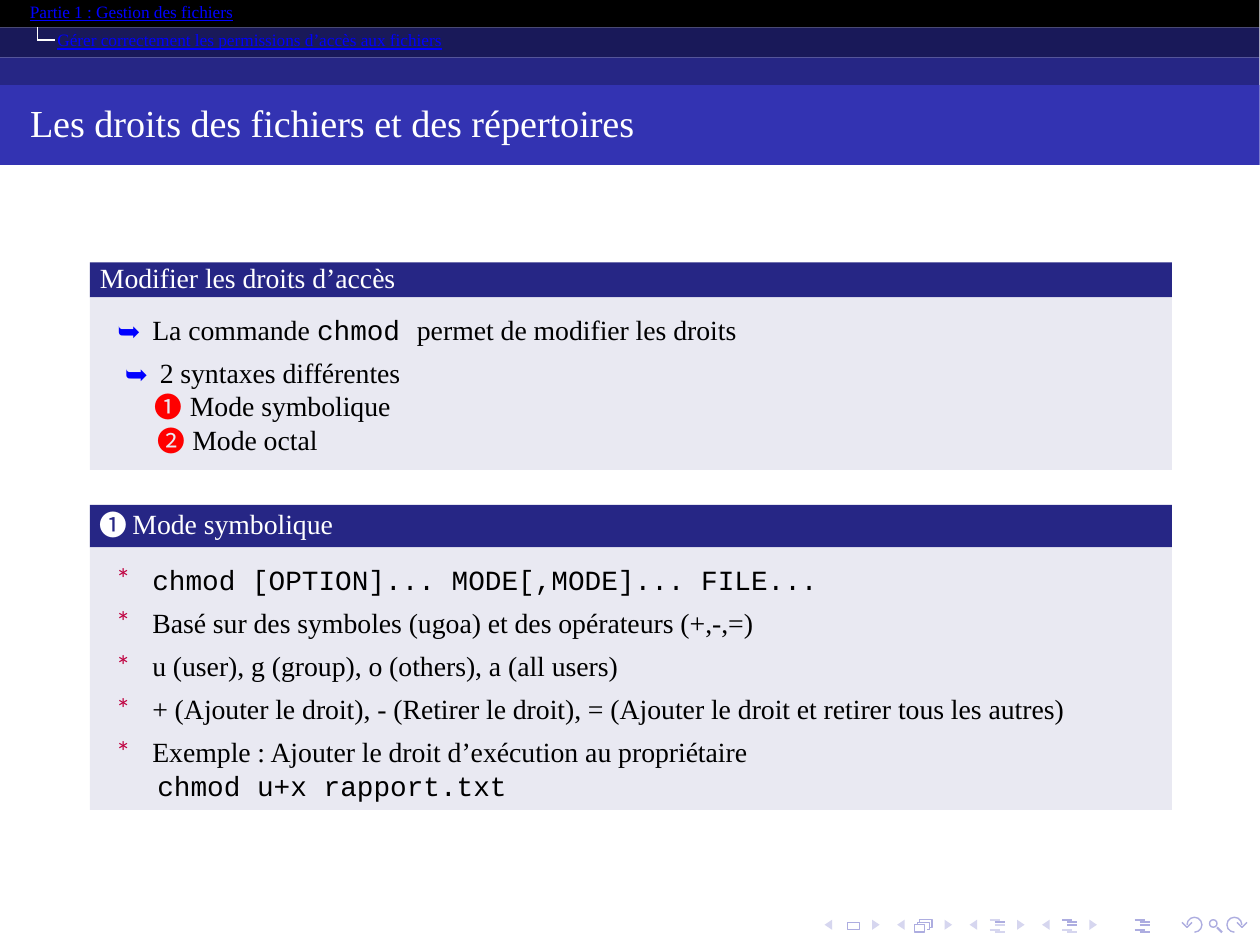
from math import cos, radians, sin

from lxml.etree import SubElement
from pptx import Presentation
from pptx.dml.color import RGBColor
from pptx.enum.shapes import MSO_CONNECTOR as Connector, MSO_SHAPE as Shape
from pptx.enum.text import MSO_ANCHOR as Anchor, MSO_AUTO_SIZE as AutoSize, PP_ALIGN as Align
from pptx.oxml.ns import qn
from pptx.util import Inches, Pt


class Theme:
    serif, mono, symbols, stars = "Times New Roman", "Courier New", "Noto Sans CJK JP", "Lato"
    black, white, link = "000000", "FFFFFF", "0000FF"
    night, navy, indigo, panel = "191959", "262685", "3333B2", "E9E9F2"
    red, crimson = "FF0000", "BF003F"
    nav, nav_pale = "ADADE0", "D6D6EF"
    small, body, title = 5, 8, 11
    leading, gap, tracking = 9.6, 2.8, -3


# Content
PART = "Partie 1 : Gestion des fichiers"
SECTION = "Gérer correctement les permissions d’accès aux fichiers"
TITLE = "Les droits des fichiers et des répertoires"

# Bullet: symbol, font, colour, symbol offset, text offset
ARROW = ("➥", Theme.symbols, Theme.link, 0.11, 0.25)
ARROW_IN = ("➥", Theme.symbols, Theme.link, 0.14, 0.28)
ONE = ("❶", Theme.symbols, Theme.red, 0.26, 0.4)
TWO = ("❷", Theme.symbols, Theme.red, 0.27, 0.41)
ONE_WHITE = ("❶", Theme.symbols, Theme.white, 0.04, 0.17)
STAR = ("*", Theme.stars, Theme.crimson, 0.11, 0.25)

# Block: heading, its bullet, top, heading height, body height, lines
# Line: bullet, space before, pieces of text (a tuple marks a command)
BLOCKS = [
    ("Modifier les droits d’accès", None, 1.05, 0.14, 0.69, [
        (ARROW, 0, ["La commande ", ("chmod ",), "permet de modifier les droits"]),
        (ARROW_IN, Theme.gap, ["2 syntaxes différentes"]),
        (ONE, 0, ["Mode symbolique"]),
        (TWO, 0, ["Mode octal"]),
    ]),
    ("Mode symbolique", ONE_WHITE, 2.02, 0.17, 1.05, [
        (STAR, 0, [("chmod [OPTION]... MODE[,MODE]... FILE...",)]),
        (STAR, Theme.gap, ["Basé sur des symboles (ugoa) et des opérateurs (+,-,=)"]),
        (STAR, Theme.gap, ["u (user), g (group), o (others), a (all users)"]),
        (STAR, Theme.gap, ["+ (Ajouter le droit), - (Retirer le droit), "
                           "= (Ajouter le droit et retirer tous les autres)"]),
        (STAR, Theme.gap, ["Exemple : Ajouter le droit d’exécution au propriétaire"]),
        (None, 0, [("chmod u+x rapport.txt",)]),
    ]),
]

BAND_WIDTH = 5.04
BLOCK_LEFT, BLOCK_WIDTH = 0.36, 4.33

deck = Presentation()
deck.slide_width = Pt(363)
deck.slide_height = Pt(272.5)
slide = deck.slides.add_slide(deck.slide_layouts[5])


def color(code):
    return RGBColor.from_string(code)


def paint(shape, fill=None, line=None, weight=0.4):
    shape.shadow.inherit = False
    if fill:
        shape.fill.solid()
        shape.fill.fore_color.rgb = color(fill)
    else:
        shape.fill.background()
    if line:
        shape.line.color.rgb = color(line)
        shape.line.width = Pt(weight)
    else:
        shape.line.fill.background()
    return shape


def box(left, top, width, height, fill=None, line=None, kind=Shape.RECTANGLE):
    shape = slide.shapes.add_shape(kind, *map(Inches, (left, top, width, height)))
    return paint(shape, fill, line)


def stroke(x1, y1, x2, y2, tint, weight=0.6):
    line = slide.shapes.add_connector(Connector.STRAIGHT, *map(Inches, (x1, y1, x2, y2)))
    line.line.color.rgb = color(tint)
    line.line.width = Pt(weight)
    SubElement(line._element.spPr, qn("a:effectLst"))


def outline(points, close=False, **look):
    corners = [(Inches(x), Inches(y)) for x, y in points]
    builder = slide.shapes.build_freeform(*corners[0], scale=1.0)
    builder.add_line_segments(corners[1:], close=close)
    paint(builder.convert_to_shape(), **look)


def frame_text(shape, anchor=Anchor.MIDDLE, above=0, below=0.02):
    frame = shape.text_frame
    frame.word_wrap = True
    frame.auto_size = AutoSize.NONE
    frame.vertical_anchor = anchor
    frame.margin_left = frame.margin_right = 0
    frame.margin_top, frame.margin_bottom = Inches(above), Inches(below)
    return frame.paragraphs[0]


def write(paragraph, pieces, size=Theme.body, tint=Theme.black, indent=0.0,
          bullet=None, before=0, leading=None, underline=False):
    paragraph.alignment = Align.LEFT
    paragraph.space_before = Pt(before)
    if leading:
        paragraph.line_spacing = Pt(leading)
    props = paragraph._p.get_or_add_pPr()
    if bullet:
        symbol, face, bullet_tint, start, indent = bullet
        props.set("indent", str(Inches(start) - Inches(indent)))
        SubElement(SubElement(props, qn("a:buClr")), qn("a:srgbClr"), val=bullet_tint)
        SubElement(props, qn("a:buSzPct"), val="100000")
        SubElement(props, qn("a:buFont"), typeface=face)
        SubElement(props, qn("a:buChar"), char=symbol)
    props.set("marL", str(Inches(indent)))
    for piece in pieces:
        command = isinstance(piece, tuple)
        run = paragraph.add_run()
        run.text = piece[0] if command else piece
        run.font.name = Theme.mono if command else Theme.serif
        run.font.size = Pt(size)
        run.font.color.rgb = color(tint)
        run.font.underline = underline
        run._r.get_or_add_rPr().set("spc", str(Theme.tracking))


def build_header():
    # Title band
    title = slide.shapes.title
    title.left, title.top, title.width, title.height = map(Inches, (0, 0.34, BAND_WIDTH, 0.32))
    title.fill.solid()
    title.fill.fore_color.rgb = color(Theme.indigo)
    write(frame_text(title), [TITLE], size=Theme.title, tint=Theme.white, indent=0.12)

    # Breadcrumb bands
    bands = [(0, 0.11, Theme.black, PART, 0.12), (0.11, 0.12, Theme.night, SECTION, 0.23),
             (0.23, 0.11, Theme.navy, None, 0)]
    for top, height, fill, crumb, indent in bands:
        band = box(0, top, BAND_WIDTH, height, fill)
        if crumb:
            write(frame_text(band), [crumb], size=Theme.small, tint=Theme.link,
                  indent=indent, underline=True)
    stroke(0.15, 0.11, 0.15, 0.16, Theme.white, 0.4)
    stroke(0.15, 0.16, 0.22, 0.16, Theme.white, 0.4)


def build_blocks():
    for heading, bullet, top, head_height, body_height, lines in BLOCKS:
        head = box(BLOCK_LEFT, top, BLOCK_WIDTH, head_height, Theme.navy)
        write(frame_text(head), [heading], tint=Theme.white, indent=0.04, bullet=bullet)
        body = box(BLOCK_LEFT, top + head_height, BLOCK_WIDTH, body_height, Theme.panel)
        paragraph = frame_text(body, Anchor.TOP, above=0.06, below=0)
        for number, (mark, before, pieces) in enumerate(lines):
            if number:
                paragraph = body.text_frame.add_paragraph()
            write(paragraph, pieces, indent=0.27, bullet=mark, before=before,
                  leading=Theme.leading)


def build_navigation():
    top, middle, bottom = 3.68, 3.7, 3.72
    # Previous and next triangles
    for group in range(4):
        left = 3.3 + 0.29 * group
        for base, tip in ((left + 0.03, left), (left + 0.19, left + 0.22)):
            outline([(base, top), (tip, middle), (base, bottom)], close=True,
                    fill=Theme.nav_pale)

    # Single page and stacked pages
    box(3.39, 3.69, 0.05, 0.03, line=Theme.nav)
    box(3.66, 3.7, 0.04, 0.03, line=Theme.nav)
    for step in (0.01, 0.02):
        x, y = 3.66 + step, 3.7 - step
        outline([(x, y + 0.01), (x, y), (x + 0.05, y), (x + 0.05, y + 0.03),
                 (x + 0.04, y + 0.03)], line=Theme.nav)

    # Text rows: the highlighted ones are darker
    rows = [(0, 3.68), (0.02, 3.69), (0.02, 3.7), (0, 3.72), (0.02, 3.73)]
    for left, dark in ((3.96, {1}), (4.25, {0, 1, 2}), (4.54, set(range(5)))):
        for number, (shift, y) in enumerate(rows):
            tint = Theme.nav if number in dark else Theme.nav_pale
            stroke(left + shift, y, left + shift + 0.04, y, tint)

    # Magnifier
    box(4.84, 3.68, 0.03, 0.03, line=Theme.nav, kind=Shape.OVAL)
    stroke(4.87, 3.71, 4.89, 3.73, Theme.nav)

    # Back and forward loops, mirrored
    for center, side in ((4.78, 1), (4.94, -1)):
        turn = [radians(angle) for angle in range(90, -181, -30)]
        outline([(center + side * 0.03 * cos(a), 3.7 + 0.03 * sin(a)) for a in turn],
                line=Theme.nav)
        outline([(center - side * x, y) for x, y in ((0.01, 3.69), (0.03, 3.71), (0.05, 3.69))],
                line=Theme.nav)


if __name__ == "__main__":
    build_header()
    build_blocks()
    build_navigation()
    deck.save("out.pptx")
